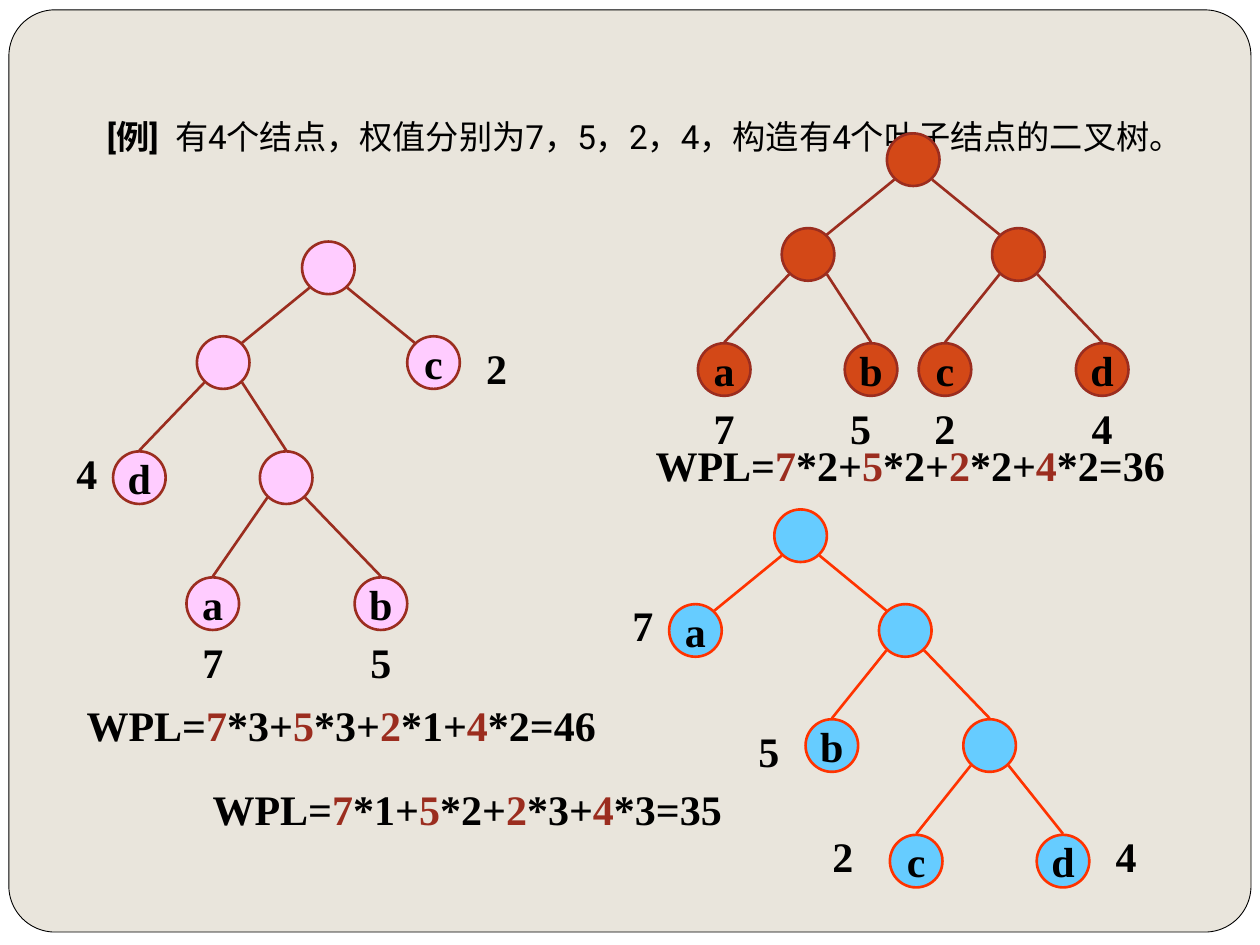
from lxml.etree import SubElement
from pptx import Presentation
from pptx.dml.color import RGBColor
from pptx.enum.shapes import MSO_CONNECTOR as CONN, MSO_SHAPE as SHAPE
from pptx.enum.text import MSO_ANCHOR as ANCHOR, MSO_AUTO_SIZE as FIT, PP_ALIGN as ALIGN
from pptx.oxml.ns import qn
from pptx.util import Cm, Pt

COLORS = {
    "page": "FFFFFF", "sand": "E9E5DC", "ink": "000000", "brick": "9B2D1F",
    "orange": "D34817", "pink": "FFCCFF", "sky": "66CCFF", "red": "FF3300",
}
NODE = 1.06  # node diameter, cm
ROWS = [0, 1.91, 4.23]  # tops of the first three tree levels, cm
WEIGHTS = {"a": 7, "b": 5, "c": 2, "d": 4}


def rgb(name):
    return RGBColor.from_string(COLORS[name])


def style_font(r, color="ink", size=24, bold=True, name="Times New Roman"):
    r.font.name, r.font.size, r.font.bold = name, Pt(size), bold
    r.font.color.rgb = rgb(color)


def add_box(shapes, kind, box, fill, line=None, width=1.5):
    sp = shapes.add_shape(kind, *map(Cm, box))
    sp.shadow.inherit = False
    sp.fill.solid()
    sp.fill.fore_color.rgb = rgb(fill)
    if line:
        sp.line.color.rgb = rgb(line)
        sp.line.width = Pt(width)
    else:
        sp.line.fill.background()
    return sp


def add_text(shapes, box, parts, inset=0):
    """Centred text box; parts are (text, colour) pairs."""
    tf = shapes.add_textbox(*map(Cm, box)).text_frame
    tf.word_wrap = True
    tf.margin_left = tf.margin_right = Cm(inset)
    p = tf.paragraphs[0]
    p.alignment = ALIGN.CENTER
    for text, color in parts:
        r = p.add_run()
        r.text = text
        style_font(r, color)


def add_node(shapes, x, y, letter, fill, line):
    sp = add_box(shapes, SHAPE.OVAL, (x, y, NODE, NODE), fill, line)
    tf = sp.text_frame
    tf.word_wrap = False
    tf.vertical_anchor = ANCHOR.MIDDLE
    if letter:
        tf.text = letter
        tf.paragraphs[0].alignment = ALIGN.CENTER
        style_font(tf.paragraphs[0].runs[0])


def add_edge(shapes, parent, child, from_root, line):
    """Edge from the parent's lower side to the child's shoulder or top."""
    (px, py), (cx, cy) = parent, child
    side = 0.38 if cx > px else -0.38
    half = NODE / 2
    x2, y2 = (cx + half - side, cy + 0.13) if from_root else (cx + half, cy - 0.02)
    edge = shapes.add_connector(
        CONN.STRAIGHT, *map(Cm, (px + half + side, py + 0.93, x2, y2)))
    edge.line.color.rgb = rgb(line)
    edge.line.width = Pt(1.5)
    SubElement(edge.element.spPr, qn("a:effectLst"))


def add_tree(s, left, top, nodes, edges, labels, fill, line):
    """Tree group; node and label positions are relative to its corner."""
    shapes = s.shapes.add_group_shape().shapes
    spots = {key: (left + x, top + y) for key, (x, y) in nodes.items()}
    for key, (x, y) in spots.items():
        add_node(shapes, x, y, key if key in WEIGHTS else "", fill, line)
    for parent, child in edges:
        add_edge(shapes, spots[parent], spots[child], parent == "root", line)
    for leaf, (dx, dy) in labels.items():
        x, y = spots[leaf]
        add_text(shapes, (x + dx, y + dy, NODE, 1.27), [(str(WEIGHTS[leaf]), "ink")])


def add_formula(s, left, top, width, depths):
    """Weighted path length: the sum of weight * depth over the leaves."""
    parts = [("WPL=", "ink")]
    total = sum(w * d for w, d in zip(WEIGHTS.values(), depths))
    tails = ["+", "+", "+", f"={total}"]
    for weight, depth, tail in zip(WEIGHTS.values(), depths, tails):
        parts += [(str(weight), "brick"), (f"*{depth}{tail}", "ink")]
    add_text(s.shapes, (left, top, width, 1.27), parts)


def add_frame(s):
    """White page with a rounded sand panel, behind the title."""
    page = add_box(s.shapes, SHAPE.RECTANGLE, (0, 0, 25.4, 19.05), "page")
    panel = add_box(s.shapes, SHAPE.ROUNDED_RECTANGLE,
                    (0.18, 0.2, 25.04, 18.59), "sand", "ink", 0.5)
    panel.adjustments[0] = 0.05
    for sp in (page, panel):
        s.shapes.title.element.addprevious(sp.element)


def add_title(s, left, top, width, height):
    title = s.shapes.title
    title.left, title.top, title.width, title.height = map(Cm, (left, top, width, height))
    tf = title.text_frame
    tf.auto_size, tf.word_wrap, tf.vertical_anchor = FIT.NONE, True, ANCHOR.BOTTOM
    tf.margin_bottom = Cm(0.25)
    p = tf.paragraphs[0]
    p.alignment = ALIGN.LEFT
    p.text = "[例]  "
    p.add_run().text = "有4个结点，权值分别为7，5，2，4，构造有4个叶子结点的二叉树。"
    for r, bold in zip(p.runs, (True, False)):
        style_font(r, size=19, bold=bold, name="Roboto")


def main():
    prs = Presentation()
    prs.slide_width, prs.slide_height = Cm(25.4), Cm(19.05)
    s = prs.slides.add_slide(prs.slide_layouts[5])
    s.background.fill.solid()
    s.background.fill.fore_color.rgb = rgb("sand")
    add_frame(s)
    add_title(s, 1.9, 1.06, 21.6, 2.33)
    below = (0, NODE)

    # Balanced tree
    add_tree(
        s, 14.07, 2.69,
        {"root": (3.81, ROWS[0]), "left": (1.69, ROWS[1]), "right": (5.93, ROWS[1]),
         "a": (0, ROWS[2]), "b": (2.96, ROWS[2]),
         "c": (4.45, ROWS[2]), "d": (7.62, ROWS[2])},
        [("root", "left"), ("left", "a"), ("left", "b"),
         ("root", "right"), ("right", "c"), ("right", "d")],
        {"a": below, "b": (-0.21, NODE), "c": below, "d": below},
        "orange", "brick")

    # Left-leaning tree
    add_tree(
        s, 2.28, 4.87,
        {"root": (3.81, ROWS[0]), "left": (1.69, ROWS[1]), "c": (5.93, ROWS[1]),
         "d": (0, ROWS[2]), "inner": (2.96, ROWS[2]),
         "a": (1.48, 6.77), "b": (4.87, 6.77)},
        [("root", "left"), ("root", "c"), ("left", "d"), ("left", "inner"),
         ("inner", "a"), ("inner", "b")],
        {"c": (1.27, 0), "d": (-NODE, -0.21), "a": below, "b": below},
        "pink", "brick")

    # Right-leaning tree
    add_tree(
        s, 13.49, 10.27,
        {"root": (2.12, ROWS[0]), "a": (0, ROWS[1]), "right": (4.23, ROWS[1]),
         "b": (2.75, ROWS[2]), "inner": (5.93, ROWS[2]),
         "c": (4.45, 6.56), "d": (7.41, 6.56)},
        [("root", "a"), ("root", "right"), ("right", "b"), ("right", "inner"),
         ("inner", "c"), ("inner", "d")],
        {"a": (-NODE, -0.21), "b": (-1.27, 0), "c": (-1.48, -0.21), "d": (1.27, -0.21)},
        "sky", "red")

    # Path length of each tree
    add_formula(s, 12.85, 8.74, 11, (2, 2, 2, 2))
    add_formula(s, 1.48, 13.97, 10.8, (3, 3, 1, 2))
    add_formula(s, 4.02, 15.67, 10.8, (1, 2, 3, 3))

    prs.save("out.pptx")


if __name__ == "__main__":
    main()
